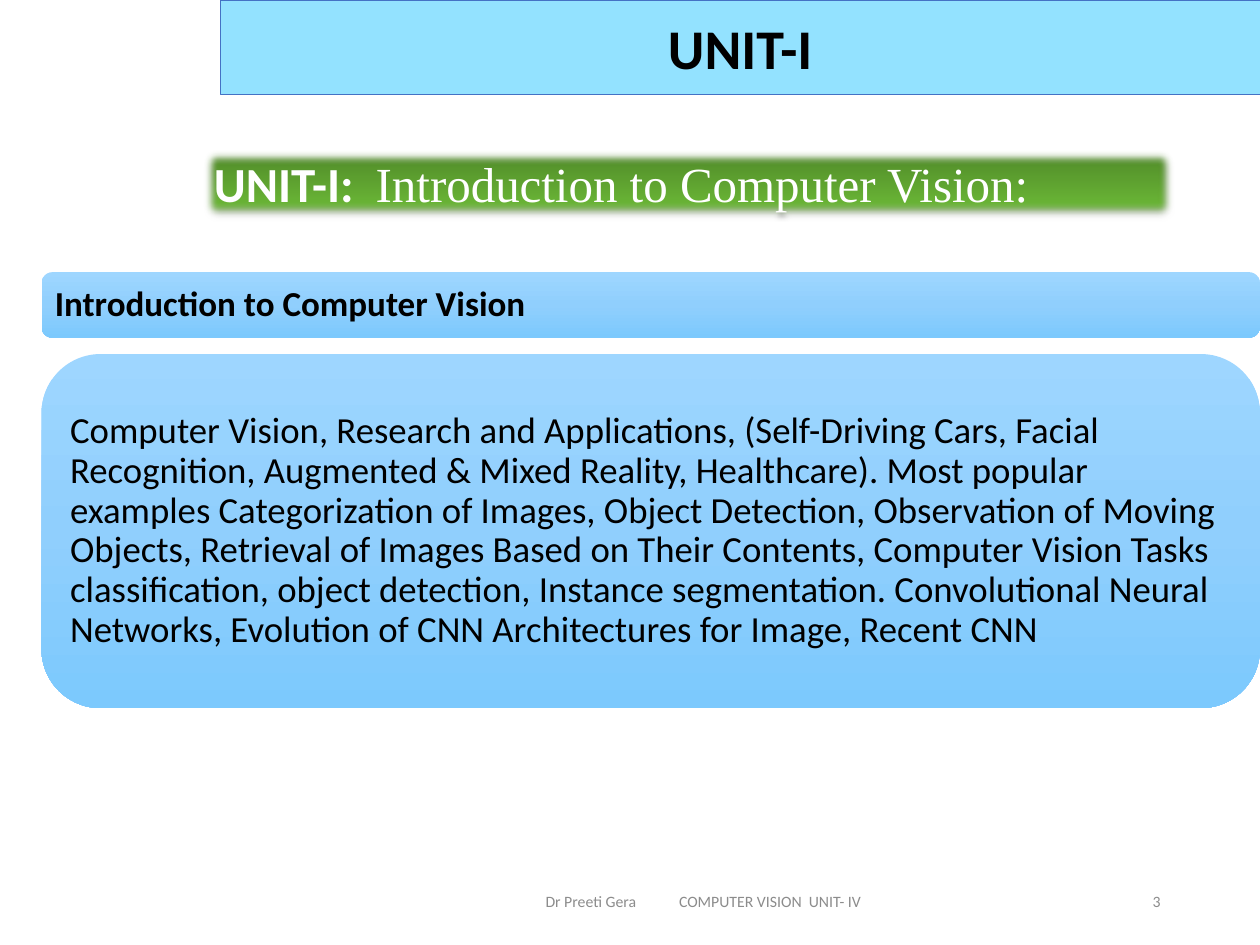
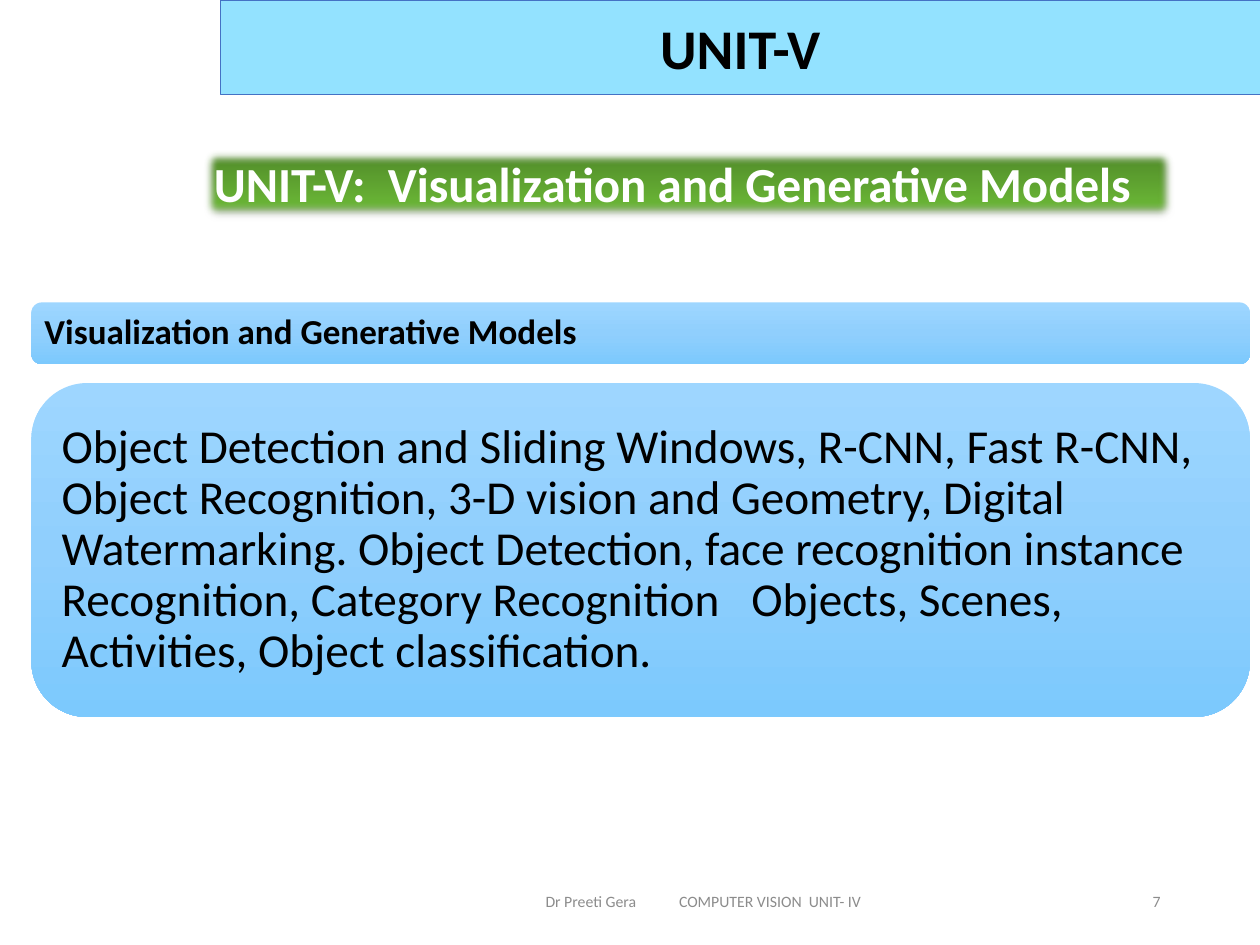
"""Build two syllabus slides, one per course unit."""
import pptx
import pptx.util
from lxml import etree
from pptx.dml.color import RGBColor
from pptx.enum.dml import MSO_THEME_COLOR
from pptx.enum.shapes import MSO_SHAPE
from pptx.enum.text import MSO_ANCHOR, PP_ALIGN
from pptx.oxml.ns import qn
from pptx.util import Inches, Pt

FOOTER = "Dr Preeti Gera\tCOMPUTER VISION  UNIT- IV"
UNITS = [
    dict(
        unit="UNIT-I", page="3",
        banner=[("UNIT-I:  ", {}),
                ("Introduction to Computer Vision:", dict(font="Times New Roman", bold=False))],
        heading="Introduction to Computer Vision",
        body="Computer Vision, Research and Applications, (Self-Driving Cars, Facial Recognition, "
             "Augmented & Mixed Reality, Healthcare). Most popular examples Categorization of Images, "
             "Object Detection, Observation of Moving Objects, Retrieval of Images Based on Their "
             "Contents, Computer Vision Tasks classification, object detection, Instance segmentation. "
             "Convolutional Neural Networks, Evolution of CNN Architectures for Image, Recent CNN",
        left=0.33, heading_y=(2.16, 0.52), body_y=(2.81, 2.81), body_size=21, body_inset=0.09),
    dict(
        unit="UNIT-V", page="7",
        banner=[("UNIT-V:  Visualization and Generative Models", {})],
        heading="Visualization and Generative Models",
        body="Object Detection and Sliding Windows, R-CNN, Fast R-CNN, Object Recognition, 3-D vision "
             "and Geometry, Digital Watermarking. Object Detection, face recognition instance "
             "Recognition, Category Recognition   Objects, Scenes, Activities, Object classification.",
        left=0.25, heading_y=(2.4, 0.49), body_y=(3.04, 2.65), body_size=27, body_inset=0.11),
]

THEME = dict(
    font="Calibri", black="000000", white="FFFFFF", grey="8C8C8C",
    band="93E2FF", band_line="4472C4",
    green=[(0, "4D8527"), (80, "6AB636"), (100, "6ABA34")],
    blue=[(0, "9ED6FF"), (50, "90CFFD"), (100, "7CC9FD")],
    title=32, banner=28, heading=20, footer=9,
)
PANEL_W = 9.67
FOOTER_Y, FOOTER_H = 6.95, 0.4


def write(sp, text, size, color=THEME["black"], bold=False, align=PP_ALIGN.LEFT,
          anchor=MSO_ANCHOR.MIDDLE, inset=(0.1, 0.05, 0.1, 0.05), spacing=None, tab=None):
    """Write a string or a list of (text, overrides) runs into a shape."""
    tf = sp.text_frame
    tf.word_wrap = True
    tf.vertical_anchor = anchor
    tf.margin_left, tf.margin_top, tf.margin_right, tf.margin_bottom = map(Inches, inset)
    p = tf.paragraphs[0]
    p.alignment = align
    if spacing:
        p.line_spacing = spacing
    if tab:
        tabs = etree.SubElement(p._p.get_or_add_pPr(), qn("a:tabLst"))
        etree.SubElement(tabs, qn("a:tab"), pos=str(Inches(tab)), algn="l")
    for part, extra in [(text, {})] if isinstance(text, str) else text:
        r = p.add_run()
        r.text = part
        r.font.size = Pt(size)
        r.font.name = extra.get("font", THEME["font"])
        r.font.bold = extra.get("bold", bold)
        r.font.color.rgb = RGBColor.from_string(color)


def add_box(s, kind, x, y, w, h):
    """Add a shape without shadow or outline."""
    sp = s.shapes.add_shape(kind, *map(Inches, (x, y, w, h)))
    sp.shadow.inherit = False
    sp.line.fill.background()
    return sp


def shade(sp, stops):
    """Fill a shape with a top-to-bottom gradient."""
    sp.fill.gradient()
    sp.fill.gradient_angle = 270
    gs_list = sp._element.spPr.find(".//" + qn("a:gsLst"))
    for gs in list(gs_list):
        gs_list.remove(gs)
    for pos, color in stops:
        gs = etree.SubElement(gs_list, qn("a:gs"), pos=str(pos * 1000))
        etree.SubElement(gs, qn("a:srgbClr"), val=color)


def soften(sp):
    """Give a shape a drop shadow and soft edges."""
    effects = sp._element.spPr.find(qn("a:effectLst"))
    shadow = etree.SubElement(effects, qn("a:outerShdw"), blurRad=str(Pt(3.1)),
                              dist=str(Pt(1.8)), dir="5400000", rotWithShape="0")
    color = etree.SubElement(shadow, qn("a:srgbClr"), val=THEME["black"])
    etree.SubElement(color, qn("a:alpha"), val="35000")
    etree.SubElement(effects, qn("a:softEdge"), rad=str(Pt(5)))


def add_footer(s, page):
    """Add the course line and the page number."""
    sp = s.shapes.add_textbox(*map(Inches, (3.17, FOOTER_Y, 4.83, FOOTER_H)))
    write(sp, FOOTER, THEME["footer"], THEME["grey"], inset=(1.16, 0.05, 0.1, 0.05), tab=1.06)
    sp = s.shapes.add_textbox(*map(Inches, (7.06, FOOTER_Y, 2.25, FOOTER_H)))
    write(sp, page, THEME["footer"], THEME["grey"], align=PP_ALIGN.RIGHT)


def add_unit(prs, unit):
    """Add the slide of one unit."""
    s = prs.slides.add_slide(prs.slide_layouts[6])
    add_footer(s, unit["page"])

    band = add_box(s, MSO_SHAPE.RECTANGLE, 1.75, 0, 8.25, 0.75)
    band.fill.solid()
    band.fill.fore_color.rgb = RGBColor.from_string(THEME["band"])
    band.line.color.rgb = RGBColor.from_string(THEME["band_line"])
    band.line.width = Pt(0.5)
    write(band, unit["unit"], THEME["title"], bold=True, align=PP_ALIGN.CENTER)

    banner = add_box(s, MSO_SHAPE.RECTANGLE, 1.6, 1.17, 7.73, 0.57)
    shade(banner, THEME["green"])
    soften(banner)
    write(banner, unit["banner"], THEME["banner"], THEME["white"], bold=True,
          anchor=MSO_ANCHOR.TOP)

    panels = [("heading", THEME["heading"], True, 0.08),
              ("body", unit["body_size"], False, unit["body_inset"])]
    for name, size, bold, inset in panels:
        y, h = unit[name + "_y"]
        panel = add_box(s, MSO_SHAPE.ROUNDED_RECTANGLE, unit["left"], y, PANEL_W, h)
        shade(panel, THEME["blue"])
        write(panel, unit[name], size, bold=bold, inset=(inset,) * 4, spacing=0.9)


def main():
    """Build and save the deck."""
    prs = pptx.Presentation()
    prs.slide_width, prs.slide_height = Inches(10), Inches(7.5)
    for unit in UNITS:
        add_unit(prs, unit)
    prs.save("out.pptx")


if __name__ == "__main__":
    main()
